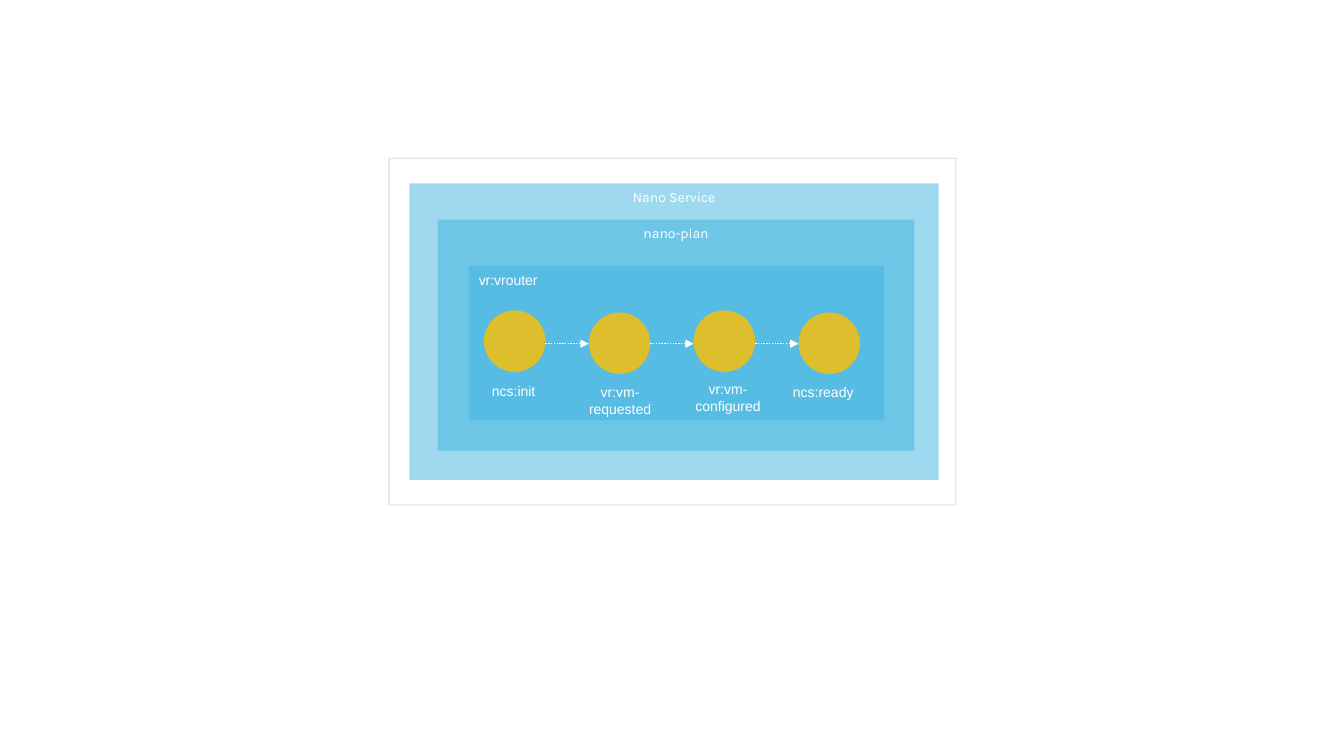
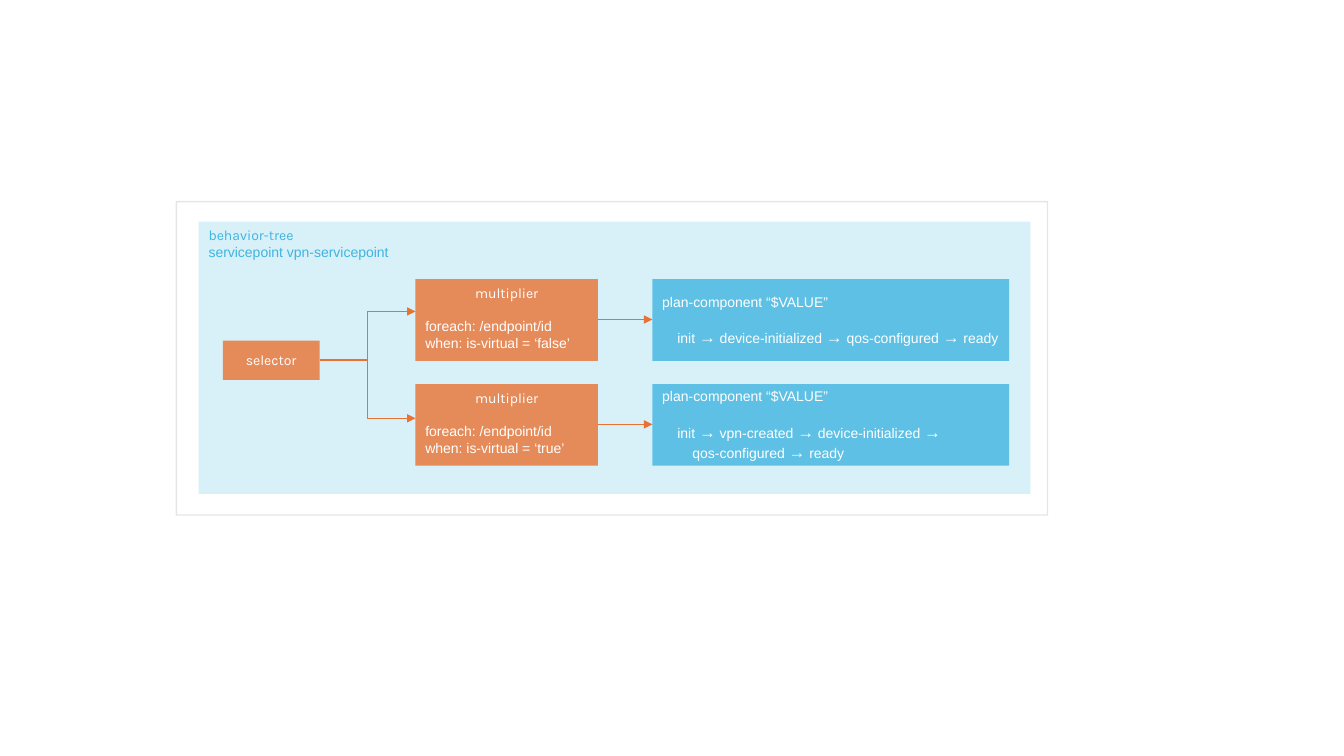
"""Build two service-diagram slides: a nano plan and a behavior tree."""
import itertools

import pptx
import pptx.dml.color
import pptx.enum.dml
import pptx.enum.shapes
import pptx.enum.text
import pptx.oxml
import pptx.oxml.ns
import pptx.util

PX = 9144
BLUE, ORANGE, GOLD = "3FB4E0", "E97132", "FFC000"
WHITE, GRAY = "FFFFFF", "808080"
HEAD_FONT, BODY_FONT = "Karla", "Arial"
SHAPE = pptx.enum.shapes.MSO_SHAPE
LINK = pptx.enum.shapes.MSO_CONNECTOR
ALIGN = pptx.enum.text.PP_ALIGN
ANCHOR = pptx.enum.text.MSO_ANCHOR


def emu(*px):
    """Turn px lengths into EMU."""
    return [pptx.util.Emu(v * PX) for v in px]


def rgb(color):
    """Turn a hex string into a colour."""
    return pptx.dml.color.RGBColor.from_string(color)


def paint(fill, color, alpha=100):
    """Make a fill solid, with opacity in percent."""
    fill.solid()
    fill.fore_color.rgb = rgb(color)
    if alpha < 100:
        clr = fill._xPr.find(pptx.oxml.ns.qn("a:solidFill"))[0]
        node = pptx.oxml.parse_xml(f'<a:alpha {pptx.oxml.ns.nsdecls("a")}/>')
        node.set("val", str(alpha * 1000))
        clr.append(node)


def add_text(sp, text, font=BODY_FONT, color=WHITE, align=ALIGN.LEFT, before=0, indent=0):
    """Add a paragraph, with its arrows set larger."""
    tf = sp.text_frame
    p = tf.paragraphs[0] if not tf.paragraphs[0].runs else tf.add_paragraph()
    p.alignment = align
    if before:
        p.space_before = pptx.util.Pt(before)
    if indent:
        p._p.get_or_add_pPr().set("marL", str(indent * PX))
    for is_arrow, chars in itertools.groupby(text, lambda c: c == "→"):
        r = p.add_run()
        r.text = "".join(chars)
        r.font.size = pptx.util.Pt(12 if is_arrow else 10)
        r.font.name = font
        r.font.color.rgb = rgb(color)


def add_box(slide, at, color, alpha, shape=SHAPE.RECTANGLE, anchor=ANCHOR.TOP):
    """Add a filled shape without outline."""
    sp = slide.shapes.add_shape(shape, *emu(*at))
    sp.shadow.inherit = False
    sp.line.fill.background()
    paint(sp.fill, color, alpha)
    sp.text_frame.word_wrap = True
    sp.text_frame.vertical_anchor = anchor
    return sp


def add_frame(slide, at):
    """Add the pale outline around a diagram."""
    sp = slide.shapes.add_shape(SHAPE.RECTANGLE, *emu(*at))
    sp.shadow.inherit = False
    sp.fill.background()
    sp.line.width = pptx.util.Pt(1)
    paint(sp.line.fill, GRAY, 20)


def add_label(slide, at, text):
    """Add a centred caption."""
    sp = slide.shapes.add_textbox(*emu(*at))
    sp.text_frame.word_wrap = True
    add_text(sp, text, align=ALIGN.CENTER)


def add_arrow(slide, start, end, color, kind=LINK.STRAIGHT, dash=None):
    """Add a connector with a triangle at its end."""
    cxn = slide.shapes.add_connector(kind, *emu(*start, *end))
    cxn.line.width = pptx.util.Pt(1)
    paint(cxn.line.fill, color)
    if dash:
        cxn.line.dash_style = dash
    ns = pptx.oxml.ns.nsdecls("a")
    cxn.line._get_or_add_ln().append(pptx.oxml.parse_xml(f'<a:tailEnd {ns} type="triangle"/>'))
    cxn._element.spPr.append(pptx.oxml.parse_xml(f"<a:effectLst {ns}/>"))


def build_nano_plan(slide):
    """Draw the nested plan with its four states."""
    service = add_box(slide, (406, 182, 525, 294), BLUE, 50)
    add_text(service, "Nano Service", font=HEAD_FONT, align=ALIGN.CENTER)
    add_frame(slide, (386, 157, 562, 344))
    plan = add_box(slide, (434, 218, 473, 229), BLUE, 50)
    add_text(plan, "nano-plan", font=HEAD_FONT, align=ALIGN.CENTER)
    component = add_box(slide, (465, 264, 412, 153), BLUE, 50)
    add_text(component, "vr:vrouter")

    left, pitch, size = 480, 104, 61
    states = [
        ("ncs:init", 308, (458, 375, 103, 27)),
        ("vr:vm-requested", 310, (556, 376, 118, 44)),
        ("vr:vm-configured", 308, (663, 373, 118, 44)),
        ("ncs:ready", 310, (765, 376, 103, 27)),
    ]
    for i, (name, top, label_at) in enumerate(states):
        x = left + i * pitch
        add_box(slide, (x, top, size, size), GOLD, 80, shape=SHAPE.OVAL)
        add_label(slide, label_at, name)
        if i:
            add_arrow(slide, (x - pitch + size, 341), (x, 341), WHITE,
                      dash=pptx.enum.dml.MSO_LINE.ROUND_DOT)


def build_behavior_tree(slide):
    """Draw the selector, its multipliers and their plan components."""
    tree = add_box(slide, (197, 220, 825, 270), BLUE, 20)
    add_text(tree, "behavior-tree", font=HEAD_FONT, color=BLUE)
    add_text(tree, "servicepoint vpn-servicepoint", color=BLUE)
    add_frame(slide, (175, 200, 864, 311))
    selector = add_box(slide, (221, 338, 96, 39), ORANGE, 80, anchor=ANCHOR.MIDDLE)
    add_text(selector, "selector", font=HEAD_FONT, align=ALIGN.CENTER)

    step, height = 15, 81
    branches = [
        (277, 309, "false", ["init → device-initialized → qos-configured → ready"]),
        (381, 415, "true", ["init → vpn-created → device-initialized →",
                            "qos-configured → ready"]),
    ]
    for top, entry, value, flow in branches:
        add_arrow(slide, (317, 357), (412, entry), ORANGE, kind=LINK.ELBOW)
        multiplier = add_box(slide, (412, top, 181, height), ORANGE, 80)
        add_text(multiplier, "multiplier", font=HEAD_FONT, align=ALIGN.CENTER)
        add_text(multiplier, "foreach: /endpoint/id", before=12)
        add_text(multiplier, f"when: is-virtual = ‘{value}’")
        plan = add_box(slide, (647, top, 354, height), BLUE, 80, anchor=ANCHOR.MIDDLE)
        add_text(plan, "plan-component “$VALUE”")
        for i, line in enumerate(flow):
            add_text(plan, line, before=0 if i else 12, indent=step * (i + 1))
        middle = top + height // 2
        add_arrow(slide, (593, middle), (647, middle), ORANGE)


def main():
    """Build and save the presentation."""
    prs = pptx.Presentation()
    prs.slide_width, prs.slide_height = emu(1333, 750)
    for build in (build_nano_plan, build_behavior_tree):
        build(prs.slides.add_slide(prs.slide_layouts[6]))
    prs.save("out.pptx")


if __name__ == "__main__":
    main()
